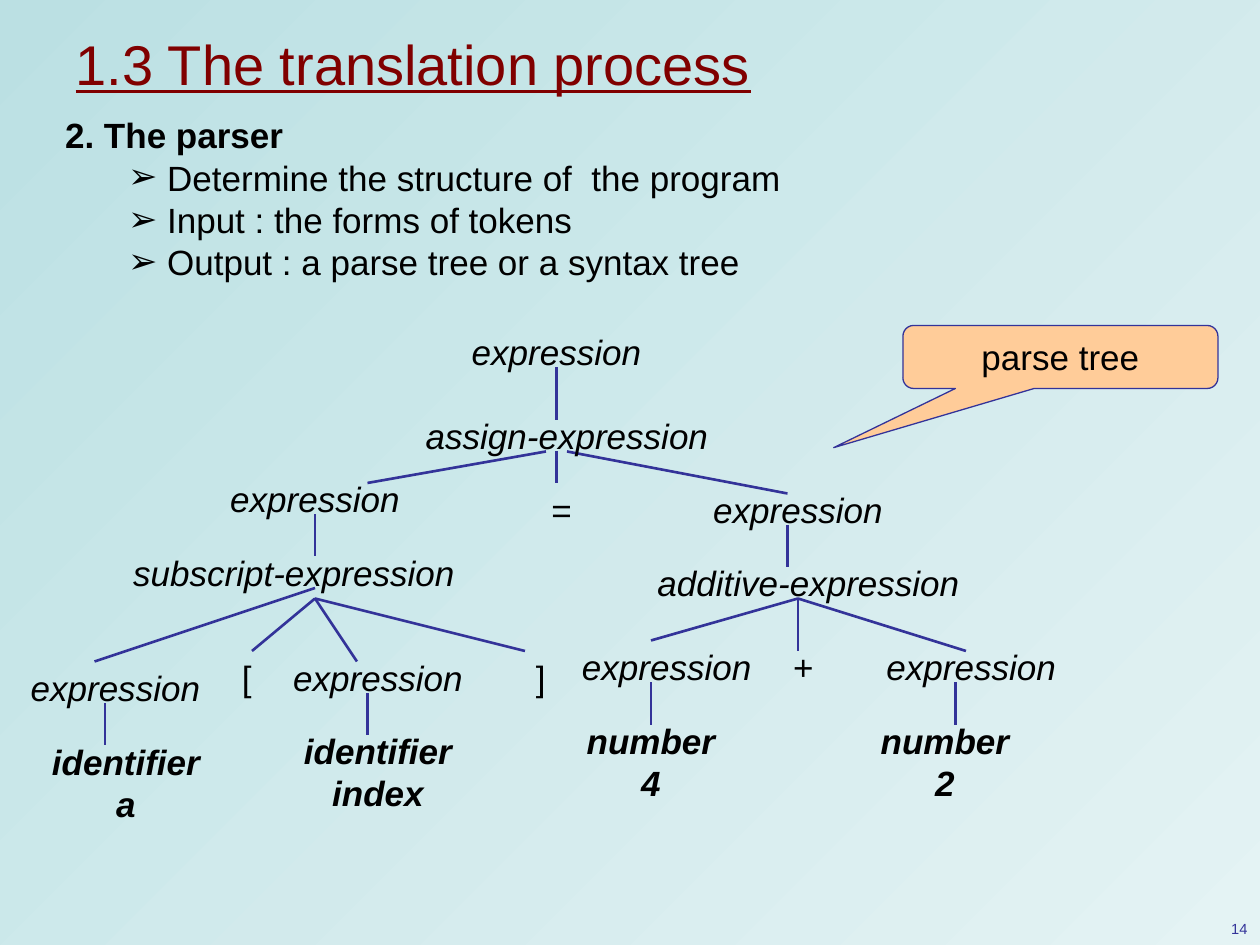
from pptx import Presentation
from pptx.dml.color import RGBColor
from pptx.enum import shapes, text
from pptx.oxml.ns import qn
from pptx.util import Inches, Pt
from lxml import etree


class Theme:
    face = "Arial"
    ink = RGBColor.from_string("000000")
    head = RGBColor.from_string("800000")
    line = RGBColor.from_string("333399")
    note = RGBColor.from_string("FFCC99")
    sky = [RGBColor.from_string(c) for c in ("BBE0E3", "E4F3F4")]
    big, main, tiny = 32, 20, 8.4


deck = Presentation()
deck.slide_width, deck.slide_height = Inches(10), Inches(7.5)
cell = deck.slide_width / 120  # grid of 120 columns by 90 rows
slide = deck.slides.add_slide(deck.slide_layouts[1])
pool = slide.shapes


def grid(*spots):
    return [round(n * cell) for n in spots]


def write(shape, words, size=Theme.main, color=Theme.ink,
          align=text.PP_ALIGN.CENTER, bold=False, italic=False):
    """Fill a shape with lines of text in one style."""
    shape.text_frame.text = words
    for par in shape.text_frame.paragraphs:
        par.alignment = align
        font = par.font
        font.name, font.size, font.color.rgb = Theme.face, Pt(size), color
        font.bold, font.italic = bold, italic


# Background
back = slide.background.fill
back.gradient()
back.gradient_angle = 315
for stop, color in zip(back.gradient_stops, Theme.sky):
    stop.color.rgb = color

# Title
title = pool.title
title.left, title.top, title.width, title.height = grid(6, 2, 112, 8)
write(title, "1.3 The translation process", Theme.big, Theme.head,
      text.PP_ALIGN.LEFT)
title.text_frame.vertical_anchor = text.MSO_ANCHOR.MIDDLE
title.text_frame.paragraphs[0].font.underline = True

# List
body = slide.placeholders[1]
body.left, body.top, body.width, body.height = grid(5, 11, 108, 18)
write(body, "2. The parser\n"
            "Determine the structure of  the program\n"
            "Input : the forms of tokens\n"
            "Output : a parse tree or a syntax tree",
      align=text.PP_ALIGN.JUSTIFY)
for i, par in enumerate(body.text_frame.paragraphs):
    par.level = min(i, 1)
    par.line_spacing, par.space_before = 0.8, Pt(5)
    par.font.bold = i == 0
    props = par._p.get_or_add_pPr()
    left, hang = (0.81, -0.31) if i else (0.38, -0.38)
    props.set("marL", str(Inches(left)))
    props.set("indent", str(Inches(hang)))
    mark = etree.Element(qn("a:buChar" if i else "a:buNone"))
    if i:
        mark.set("char", "➢")
    props.find(qn("a:defRPr")).addprevious(mark)

# Tree branches: start column and row, end column and row
branches = [
    (53, 35, 53, 40),
    (52, 43, 35, 46), (53, 43, 53, 46), (54, 43, 75, 47),
    (30, 49, 30, 53), (75, 50, 75, 54),
    (30, 56, 9, 63), (30, 57, 24, 62), (30, 57, 34, 63), (30, 57, 50, 62),
    (76, 57, 62, 61), (76, 57, 76, 62), (76, 57, 92, 62),
    (10, 67, 10, 71), (35, 66, 35, 70), (62, 65, 62, 69), (91, 65, 91, 69),
]
for ends in branches:
    limb = pool.add_connector(shapes.MSO_CONNECTOR.STRAIGHT, *grid(*ends))
    limb.line.color.rgb, limb.line.width = Theme.line, Pt(1.5)
    etree.SubElement(limb._element.spPr, qn("a:effectLst"))

# Tree nodes: column, row, width, words
rules = [
    (40, 31, 26, "expression"), (38, 39, 32, "assign-expression"),
    (17, 45, 26, "expression"), (12, 52, 32, "subscript-expression"),
    (63, 46, 26, "expression"), (61, 53, 32, "additive-expression"),
    (2, 63, 18, "expression"), (27, 62, 18, "expression"),
    (55, 61, 17, "expression"), (84, 61, 17, "expression"),
]
signs = [(50, 46, 7, "="), (20, 62, 7, "["), (48, 62, 7, "]"),
         (73, 61, 7, "+")]
leaves = [(3, 72, 18, "identifier\na"), (27, 71, 18, "identifier\nindex"),
          (53, 70, 18, "number\n4"), (81, 70, 18, "number\n2")]
for nodes, bold, italic in ((rules, False, True), (signs, False, False),
                            (leaves, True, True)):
    for col, row, wide, words in nodes:
        node = pool.add_textbox(*grid(col, row, wide, 5))
        frame = node.text_frame
        frame.word_wrap = False
        frame.margin_left = frame.margin_right = 0
        frame.vertical_anchor = text.MSO_ANCHOR.MIDDLE
        write(node, words, bold=bold, italic=italic)

# Callout
note = pool.add_shape(shapes.MSO_SHAPE.ROUNDED_RECTANGULAR_CALLOUT,
                      *grid(86, 31, 30, 6))
for i, share in enumerate((-0.72, 1.44, 0.17)):
    note.adjustments[i] = share
note.shadow.inherit = False
note.fill.solid()
note.fill.fore_color.rgb = Theme.note
note.line.color.rgb, note.line.width = Theme.line, Pt(0.75)
write(note, "parse tree")

# Page number
page = pool.add_textbox(*grid(115, 87, 5, 3))
page.text_frame.word_wrap = True
write(page, "14", Theme.tiny, Theme.line, text.PP_ALIGN.RIGHT)

deck.save("out.pptx")
